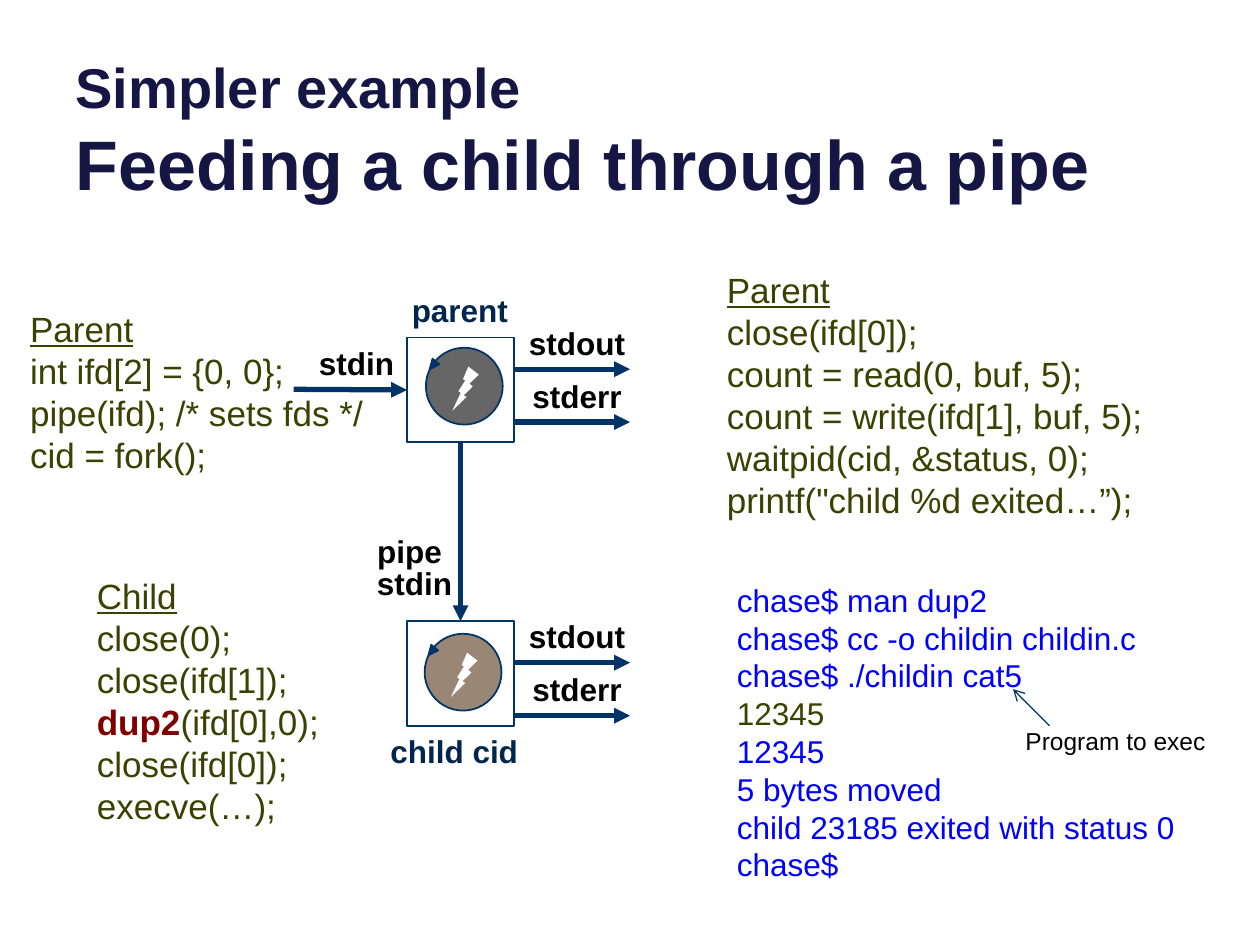
"""Build the slide on feeding a child process through a pipe."""
from dataclasses import dataclass

from lxml.etree import SubElement
from pptx import Presentation
from pptx.dml.color import RGBColor
from pptx.enum.shapes import MSO_CONNECTOR as Line, MSO_SHAPE as Shape
from pptx.enum.text import MSO_ANCHOR as Anchor, MSO_AUTO_SIZE as Fit, PP_ALIGN as Align
from pptx.oxml.ns import qn
from pptx.util import Inches, Pt


@dataclass(frozen=True)
class Theme:
    font: str = "Arial"
    title: str = "161645"
    line: str = "003367"
    process: str = "00264D"
    stream: str = "000000"
    code: str = "394200"
    highlight: str = "800000"
    shell: str = "0000FF"
    typed: str = "3A4200"
    white: str = "FFFFFF"
    parent: str = "666666"
    child: str = "998674"
    kicker_size: int = 32
    title_size: int = 40
    code_size: int = 20
    label_size: int = 18
    note_size: int = 14


class SlideBuilder:
    def __init__(self, slide, theme):
        self.slide = slide
        self.theme = theme

    def style(self, font, size, color, bold=False):
        font.name = self.theme.font
        font.size = Pt(size)
        font.bold = bold
        font.color.rgb = RGBColor.from_string(color)

    def title(self, kicker, headline):
        heading = self.slide.shapes.title
        heading.left, heading.top = Inches(0.5), Inches(-0.03)
        heading.width, heading.height = Inches(9), Inches(1.7)
        frame = heading.text_frame
        frame.auto_size = Fit.NONE
        frame.vertical_anchor = Anchor.BOTTOM
        paragraph = frame.paragraphs[0]
        paragraph.alignment = Align.LEFT
        for text, size in ((kicker, self.theme.kicker_size), (headline, self.theme.title_size)):
            if paragraph.runs:
                paragraph.add_line_break()
            run = paragraph.add_run()
            run.text = text
            self.style(run.font, size, self.theme.title, True)

    def text(self, lines, left, top, width, height, size, color,
             bold=False, align=Align.LEFT, wrap=True):
        box = self.slide.shapes.add_textbox(
            Inches(left), Inches(top), Inches(width), Inches(height))
        frame = box.text_frame
        frame.word_wrap = wrap
        frame.auto_size = Fit.SHAPE_TO_FIT_TEXT
        for index, line in enumerate(lines):
            paragraph = frame.add_paragraph() if index else frame.paragraphs[0]
            paragraph.text = line
            paragraph.alignment = align
            self.style(paragraph.font, size, color, bold)
        return frame.paragraphs

    def code(self, lines, *place):
        paragraphs = self.text(lines, *place, self.theme.code_size, self.theme.code)
        paragraphs[0].font.underline = True
        return paragraphs

    def label(self, text, left, top, width=1):
        self.text([text], left, top, width, 0.41, self.theme.label_size,
                  self.theme.stream, True, Align.CENTER)

    def process_name(self, text, left, top, width):
        self.text([text], left, top, width, 0.4, self.theme.label_size,
                  self.theme.process, True, wrap=False)

    def shape(self, kind, left, top, width, height, fill, outlined=True):
        shape = self.slide.shapes.add_shape(
            kind, Inches(left), Inches(top), Inches(width), Inches(height))
        shape.shadow.inherit = False
        shape.fill.solid()
        shape.fill.fore_color.rgb = RGBColor.from_string(fill)
        if outlined:
            shape.line.color.rgb = RGBColor.from_string(self.theme.line)
            shape.line.width = Pt(1)
        else:
            shape.line.fill.background()
        return shape

    def process(self, top, disc_left, disc_top, fill):
        frame = self.shape(Shape.RECTANGLE, 3.23, top, 0.85, 0.83, self.theme.white)
        self.shape(Shape.OVAL, disc_left, disc_top, 0.61, 0.61, fill)
        bolt = self.shape(Shape.LIGHTNING_BOLT, disc_left + 0.21, disc_top + 0.15,
                          0.21, 0.35, self.theme.white, False)
        bolt._element.spPr.get_or_add_xfrm().set("flipH", "1")
        loop_tip = self.shape(Shape.ISOSCELES_TRIANGLE, disc_left + 0.02, disc_top + 0.1,
                              0.07, 0.08, self.theme.line)
        loop_tip.rotation = 219
        return frame

    def arrow(self, x1, y1, x2, y2, weight=3, head="triangle"):
        arrow = self.slide.shapes.add_connector(
            Line.STRAIGHT, Inches(x1), Inches(y1), Inches(x2), Inches(y2))
        arrow.line.color.rgb = RGBColor.from_string(self.theme.line)
        arrow.line.width = Pt(weight)
        SubElement(arrow.line._get_or_add_ln(), qn("a:tailEnd"), type=head)
        SubElement(arrow._element.spPr, qn("a:effectLst"))
        return arrow

    def stream(self, name, left, y):
        self.label(name, left, y - 0.41)
        return self.arrow(left, y, left + 0.92, y)


def main():
    deck = Presentation()
    deck.slide_width, deck.slide_height = Inches(10), Inches(7.5)
    theme = Theme()
    page = SlideBuilder(deck.slides.add_slide(deck.slide_layouts[5]), theme)
    page.title("Simpler example", "Feeding a child through a pipe")

    parent = page.process(2.68, 3.38, 2.76, theme.parent)
    child = page.process(4.93, 3.37, 5.03, theme.child)
    page.process_name("parent", 3.17, 2.26, 0.97)
    page.process_name("child cid", 3, 5.76, 1.23)

    pipe = page.arrow(3.67, 3.51, 3.67, 4.93)
    pipe.begin_connect(parent, 2)
    pipe.end_connect(child, 0)
    page.label("pipe", 2.75, 4.17)
    page.label("stdin", 2.83, 4.43, 0.92)

    page.stream("stdin", 2.33, 3.09).end_connect(parent, 1)
    for stdout_y in (2.93, 5.26):
        page.stream("stdout", 4.08, stdout_y)
        page.stream("stderr", 4.08, stdout_y + 0.42)

    page.code(["Parent", "int ifd[2] = {0, 0};", "pipe(ifd); /* sets fds */",
               "cid = fork();"], 0.14, 2.39, 2.88, 1.45)
    page.code(["Parent", "close(ifd[0]);", "count = read(0, buf, 5);",
               "count = write(ifd[1], buf, 5);", "waitpid(cid, &status, 0);",
               "printf(\"child %d exited…”);"], 5.67, 2.08, 4.33, 2.12)
    child_code = page.code(["Child", "close(0);", "close(ifd[1]);", "",
                            "close(ifd[0]);", "execve(…);"], 0.67, 4.51, 2.25, 2.12)
    for text, color, bold in (("dup2", theme.highlight, True),
                              ("(ifd[0],0);", theme.code, False)):
        run = child_code[3].add_run()
        run.text = text
        page.style(run.font, theme.code_size, color, bold)

    session = page.text(
        ["chase$ man dup2", "chase$ cc -o childin childin.c", "chase$ ./childin cat5",
         "12345", "12345", "5 bytes moved", "child 23185 exited with status 0", "chase$"],
        5.75, 4.56, 4.25, 2.52, theme.label_size, theme.shell)
    session[3].font.color.rgb = RGBColor.from_string(theme.typed)

    page.arrow(8.33, 5.76, 8.04, 5.47, 0.75, "arrow")
    page.text(["Program to exec"], 8.04, 5.71, 1.9, 0.34, theme.note_size, theme.stream)
    deck.save("out.pptx")


if __name__ == "__main__":
    main()
